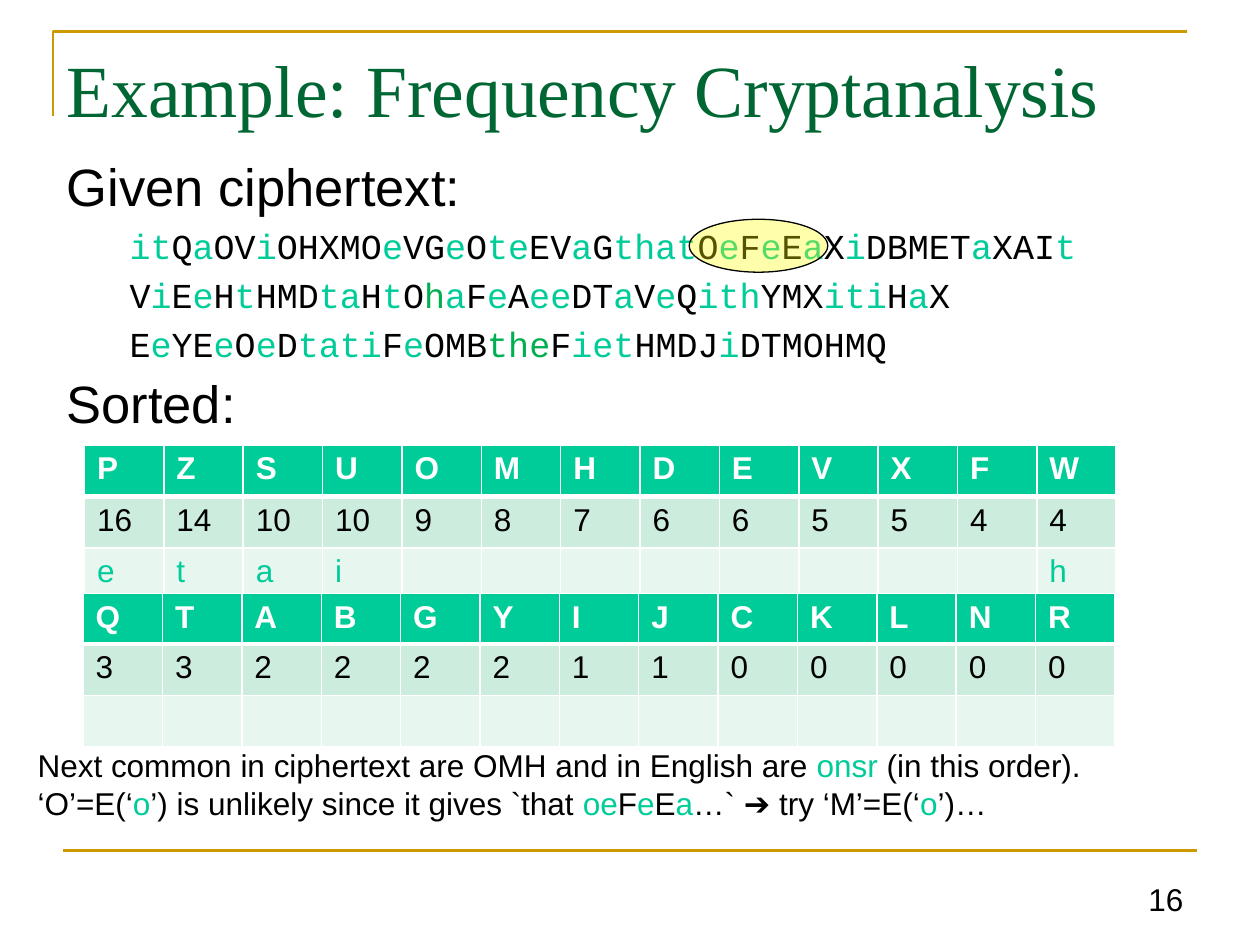
import itertools

import pptx
import pptx.dml.color
import pptx.enum.shapes
import pptx.enum.text
import pptx.oxml
import pptx.oxml.ns
import pptx.util
from pptx.util import Inches

RGBColor = pptx.dml.color.RGBColor
BLACK = RGBColor(0x00, 0x00, 0x00)
WHITE = RGBColor(0xFF, 0xFF, 0xFF)
GOLD = RGBColor(0xCC, 0x99, 0x00)
FOREST = RGBColor(0x00, 0x66, 0x33)
GREEN = RGBColor(0x00, 0xB0, 0x50)
MINT = RGBColor(0x00, 0xCC, 0x99)
PALE = RGBColor(0xCC, 0xEC, 0xDE)
PALEST = RGBColor(0xE7, 0xF6, 0xEF)
YELLOW = RGBColor(0xFF, 0xFF, 0x00)

# Pieces between bars are shown in the accent colour.
CIPHERTEXT = [
    "itQaOViOHXMOeVGeOteEVaGthatOeFeEaXiDBMETaXAIt",
    "ViEeHtHMDtaHtO|h|aFeAeeDTaVeQithYMXitiHaX",
    "EeYEeOeDtatiFeOMB|the|FietHMDJiDTMOHMQ",
]
NOTE = [
    "Next common in ciphertext are OMH and in English are |onsr| (in this order). ",
    "‘O’=E(‘|o|’) is unlikely since it gives `that |oe|F|e|E|a|…` ➔ try ‘M’=E(‘|o|’)…",
]
COMMON = ["PZSUOMHDEVXFW", [16, 14, 10, 10, 9, 8, 7, 6, 6, 5, 5, 4, 4], "etai        h"]
RARE = ["QTABGYIJCKLNR", [3, 3, 2, 2, 2, 2, 1, 1, 0, 0, 0, 0, 0], " " * 13]


def set_font(font, name, size, color, bold=False):
    font.name = name
    font.size = pptx.util.Pt(size)
    font.color.rgb = color
    font.bold = bold


def add_span(para, text, color):
    span = para.add_run()
    span.text = text
    span.font.color.rgb = color


def split_marked(text):
    for index, piece in enumerate(text.split("|")):
        if piece:
            yield piece, index % 2 == 1


def add_box(page, left, top, width, height, wrap=True):
    box = page.shapes.add_textbox(Inches(left), Inches(top), Inches(width), Inches(height))
    box.text_frame.word_wrap = wrap
    return box.text_frame


def add_frame_lines(page):
    builder = page.shapes.build_freeform(Inches(0.42), Inches(0.92))
    builder.add_line_segments(
        [(Inches(0.42), Inches(0.25)), (Inches(9.42), Inches(0.25))], close=False)
    corner = builder.convert_to_shape()
    corner.fill.background()
    corner.shadow.inherit = False
    rule = page.shapes.add_connector(
        pptx.enum.shapes.MSO_CONNECTOR.STRAIGHT,
        Inches(0.5), Inches(6.75), Inches(9.5), Inches(6.75))
    pptx.oxml.ns.qn("a:effectLst")
    rule._element.spPr.append(
        pptx.oxml.parse_xml(f'<a:effectLst {pptx.oxml.ns.nsdecls("a")}/>'))
    for shape in (corner, rule):
        shape.line.color.rgb = GOLD
        shape.line.width = pptx.util.Pt(1.5)


def format_title(page):
    title = page.shapes.title
    title.left, title.top = Inches(0.43), Inches(0.3)
    title.width, title.height = Inches(9.07), Inches(1.5)
    title.text_frame.text = "Example: Frequency Cryptanalysis"
    title.text_frame.vertical_anchor = pptx.enum.text.MSO_ANCHOR.TOP
    para = title.text_frame.paragraphs[0]
    para.alignment = pptx.enum.text.PP_ALIGN.LEFT
    set_font(para.font, "Times New Roman", 42, FOREST)


def format_body_para(para, margin, indent, before):
    para.line_spacing = 0.9
    para.space_before = pptx.util.Pt(before)
    properties = para._p.get_or_add_pPr()
    properties.set("marL", str(Inches(margin)))
    properties.set("indent", str(Inches(indent)))


def add_heading(para, text):
    format_body_para(para, 0.38, -0.38, 7.5)
    set_font(para.font, "Arial", 30, BLACK)
    para.add_run().text = text


def add_cipher_line(para, line):
    format_body_para(para, 0.81, -0.31, 6.5)
    set_font(para.font, "Courier New", 20, BLACK)
    for piece, marked in split_marked(line):
        for solved, letters in itertools.groupby(piece, str.islower):
            color = GREEN if marked else MINT if solved else BLACK
            add_span(para, "".join(letters), color)


def add_body(page):
    frame = add_box(page, 0.43, 1.23, 9.42, 2.3)
    add_heading(frame.paragraphs[0], "Given ciphertext:")
    for line in CIPHERTEXT:
        add_cipher_line(frame.add_paragraph(), line)
    add_heading(frame.add_paragraph(), "Sorted:")


def set_borders(cell, bottom):
    properties = cell._tc.get_or_add_tcPr()
    widths = {"lnL": 1, "lnR": 1, "lnT": 1, "lnB": bottom}
    for index, (side, width) in enumerate(widths.items()):
        properties.insert(index, pptx.oxml.parse_xml(
            f'<a:{side} {pptx.oxml.ns.nsdecls("a")} w="{pptx.util.Pt(width)}">'
            f'<a:solidFill><a:srgbClr val="{WHITE}"/></a:solidFill></a:{side}>'))


def add_frequency_table(page, left, top, heights, rows):
    styles = [(MINT, WHITE, True, 3), (PALE, BLACK, False, 1), (PALEST, MINT, False, 1)]
    count = len(rows[0])
    table = page.shapes.add_table(
        len(rows), count, Inches(left), Inches(top),
        Inches(0.63 * count), Inches(sum(heights))).table
    for column in table.columns:
        column.width = Inches(0.63)
    for r, (values, height, style) in enumerate(zip(rows, heights, styles)):
        fill, color, bold, bottom = style
        table.rows[r].height = Inches(height)
        for c, value in enumerate(values):
            cell = table.cell(r, c)
            cell.fill.solid()
            cell.fill.fore_color.rgb = fill
            set_borders(cell, bottom)
            cell.text = str(value).strip()
            set_font(cell.text_frame.paragraphs[0].font, "Arial", 18, color, bold)


def add_note(page):
    para = add_box(page, 0.2, 5.87, 8.57, 0.71, wrap=False).paragraphs[0]
    set_font(para.font, "Arial", 18, BLACK)
    for index, line in enumerate(NOTE):
        if index:
            para.add_line_break()
        for piece, marked in split_marked(line):
            add_span(para, piece, MINT if marked else BLACK)


def add_highlight(page):
    oval = page.shapes.add_shape(
        pptx.enum.shapes.MSO_SHAPE.OVAL,
        Inches(5.47), Inches(1.74), Inches(1.1), Inches(0.42))
    oval.shadow.inherit = False
    oval.fill.solid()
    oval.fill.fore_color.rgb = YELLOW
    color = oval._element.spPr.find(".//" + pptx.oxml.ns.qn("a:srgbClr"))
    color.append(pptx.oxml.parse_xml(
        f'<a:alpha {pptx.oxml.ns.nsdecls("a")} val="33000"/>'))
    oval.line.color.rgb = BLACK
    oval.line.width = pptx.util.Pt(0.75)


def add_page_number(page):
    frame = add_box(page, 8.96, 6.84, 0.53, 0.49)
    frame.vertical_anchor = pptx.enum.text.MSO_ANCHOR.BOTTOM
    para = frame.paragraphs[0]
    para.text = "16"
    para.alignment = pptx.enum.text.PP_ALIGN.RIGHT
    set_font(para.font, "Arial", 18, BLACK)


def main():
    deck = pptx.Presentation()
    deck.slide_width, deck.slide_height = Inches(10), Inches(7.5)
    page = deck.slides.add_slide(deck.slide_layouts[5])
    add_frame_lines(page)
    format_title(page)
    add_body(page)
    add_frequency_table(page, 0.67, 3.53, [0.41, 0.41, 0.41], COMMON)
    add_frequency_table(page, 0.66, 4.71, [0.33, 0.41, 0.41], RARE)
    add_note(page)
    add_highlight(page)
    add_page_number(page)
    deck.save("out.pptx")


if __name__ == "__main__":
    main()
